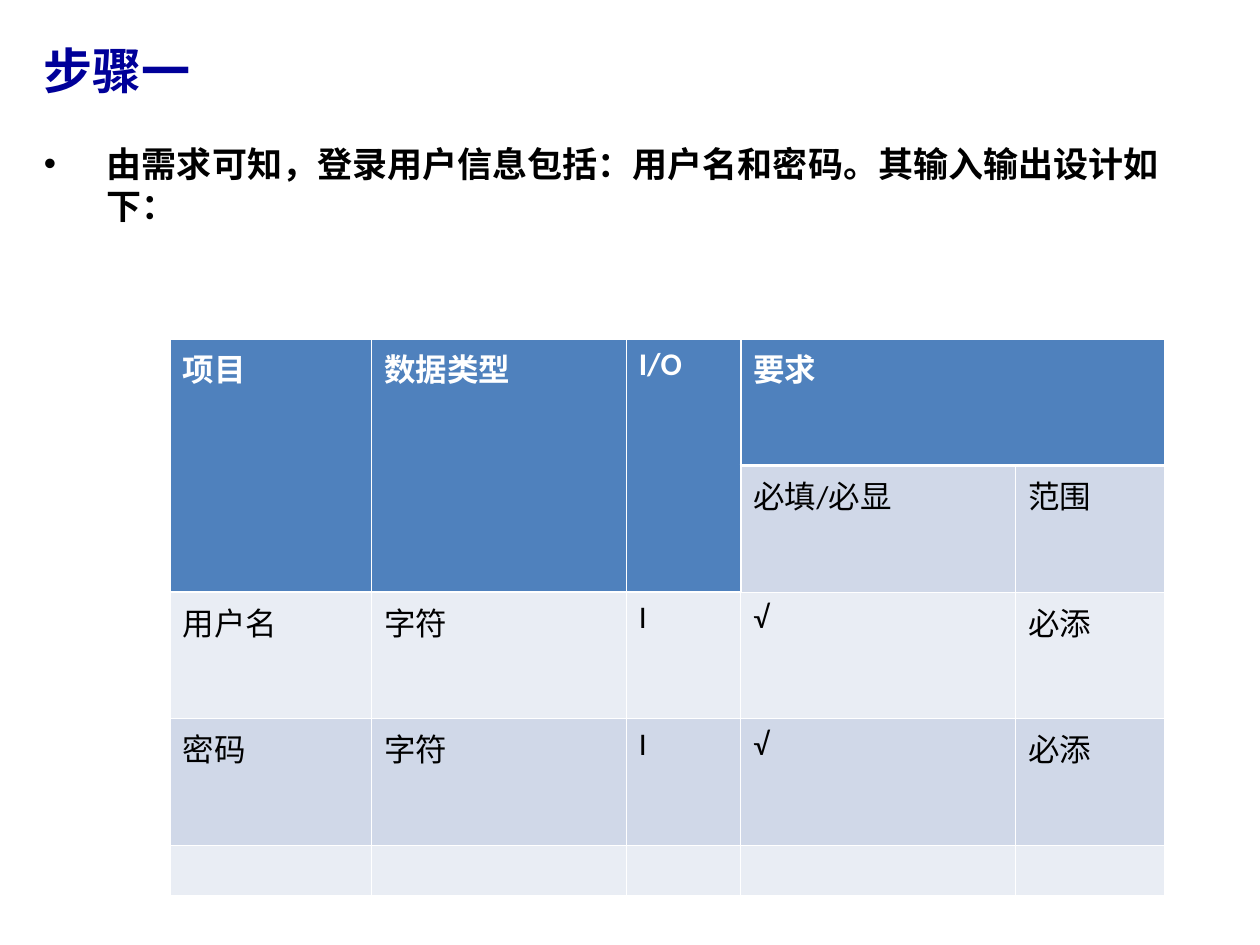
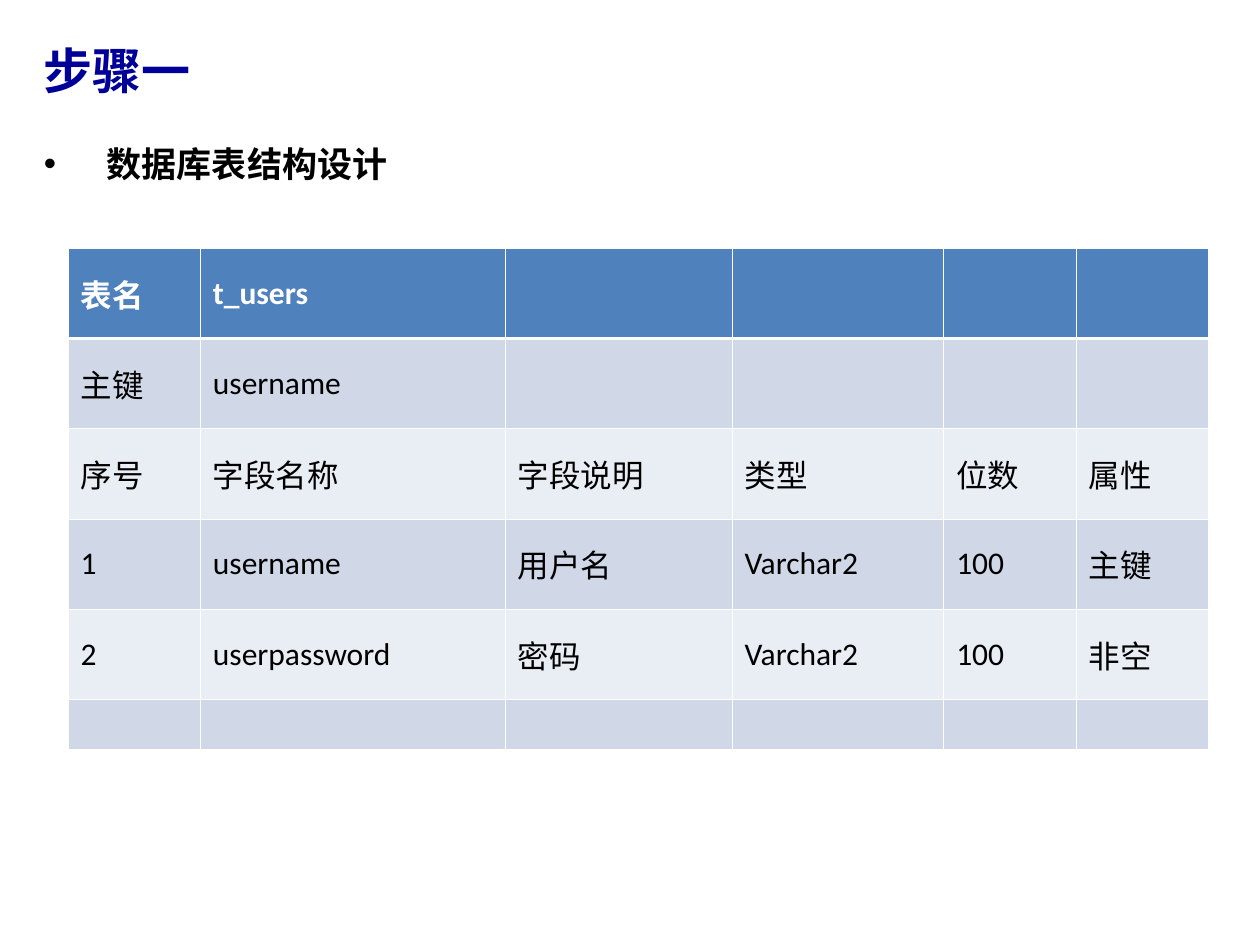
from dataclasses import dataclass
from lxml.etree import SubElement
from pptx import Presentation
from pptx.dml.color import RGBColor
from pptx.enum.text import MSO_ANCHOR
from pptx.oxml.ns import qn
from pptx.util import Inches, Pt


@dataclass(frozen=True)
class Theme:
    title_color: str = "000099"
    text_color: str = "000000"
    header_text_color: str = "FFFFFF"
    border_color: str = "FFFFFF"
    header_fill: str = "4F81BD"
    band_fills: tuple = ("E9EDF4", "D0D8E8")
    text_font: str = "Arial"
    table_font: str = "Calibri"
    title_size: int = 28
    body_size: int = 20
    table_size: int = 18
    thin_border: float = 0.45
    thick_border: float = 1.47


theme = Theme()
presentation = Presentation()
presentation.slide_width = Inches(10)
presentation.slide_height = Inches(7.5)
grid_column = presentation.slide_width / 100
grid_row = presentation.slide_height / 100


def place(left, top, width, height):
    return (round(left * grid_column), round(top * grid_row),
            round(width * grid_column), round(height * grid_row))


def write_text(frame, text, *, font, size, color, bold=False, bullet=False,
               anchor=MSO_ANCHOR.TOP):
    frame.word_wrap = True
    frame.vertical_anchor = anchor
    paragraph = frame.paragraphs[0]
    if bullet:
        properties = paragraph._p.get_or_add_pPr()
        properties.set("marL", str(Inches(0.5)))
        properties.set("indent", str(-Inches(0.5)))
        bullet_color = SubElement(properties, qn("a:buClr"))
        SubElement(bullet_color, qn("a:srgbClr"), val=color)
        SubElement(properties, qn("a:buFont"), typeface=font)
        SubElement(properties, qn("a:buChar"), char="•")
    run = paragraph.add_run()
    run.text = text
    run.font.name = font
    run.font.size = Pt(size)
    run.font.bold = bold
    run.font.color.rgb = RGBColor.from_string(color)


slides = [
    {
        "title": "步骤一",
        "body": "由需求可知，登录用户信息包括：用户名和密码。其输入输出设计如下：",
        "body_width": 92.9,
        "table_corner": (13.5, 35.87),
        "columns": [16, 20.2, 9.1, 21.8, 11.8],
        "rows": [13.4] * 4 + [5.33],
        "header_depths": [2, 2, 2, 1, 1],
        "merges": [(0, 0, 1, 0), (0, 1, 1, 1), (0, 2, 1, 2), (0, 3, 0, 4)],
        "anchor": MSO_ANCHOR.TOP,
        "texts": [
            ["项目", "数据类型", "I/O", "要求", ""],
            ["", "", "", "必填/必显", "范围"],
            ["用户名", "字符", "I", "√", "必添"],
            ["密码", "字符", "I", "√", "必添"],
            [""] * 5,
        ],
    },
    {
        "title": "步骤一",
        "body": "数据库表结构设计",
        "body_width": 47,
        "table_corner": (5.4, 26.27),
        "columns": [10.5, 24.2, 18, 16.8, 10.5, 10.5],
        "rows": [9.55] * 5 + [5.33],
        "header_depths": [1] * 6,
        "merges": [],
        "anchor": MSO_ANCHOR.MIDDLE,
        "texts": [
            ["表名", "t_users", "", "", "", ""],
            ["主键", "username", "", "", "", ""],
            ["序号", "字段名称", "字段说明", "类型", "位数", "属性"],
            ["1", "username", "用户名", "Varchar2", "100", "主键"],
            ["2", "userpassword", "密码", "Varchar2", "100", "非空"],
            [""] * 6,
        ],
    },
]

for content in slides:
    slide = presentation.slides.add_slide(presentation.slide_layouts[6])
    title = slide.shapes.add_textbox(*place(2.5, 2.93, 90, 8.93))
    write_text(title.text_frame, content["title"], font=theme.text_font,
               size=theme.title_size, color=theme.title_color, bold=True,
               anchor=MSO_ANCHOR.MIDDLE)
    body = slide.shapes.add_textbox(*place(2.5, 14.4, content["body_width"], 73.73))
    write_text(body.text_frame, content["body"], font=theme.text_font,
               size=theme.body_size, color=theme.text_color, bold=True, bullet=True)

    columns, rows = content["columns"], content["rows"]
    table = slide.shapes.add_table(
        len(rows), len(columns),
        *place(*content["table_corner"], sum(columns), sum(rows))).table
    table.first_row = False
    table.horz_banding = False
    for table_column, width in zip(table.columns, columns):
        table_column.width = round(width * grid_column)
    for table_row, height in zip(table.rows, rows):
        table_row.height = round(height * grid_row)
    for first_row, first_column, last_row, last_column in content["merges"]:
        table.cell(first_row, first_column).merge(table.cell(last_row, last_column))

    header_cells = {(row, column)
                    for column, depth in enumerate(content["header_depths"])
                    for row in range(depth)}
    for row, texts in enumerate(content["texts"]):
        for column, text in enumerate(texts):
            cell = table.cell(row, column)
            is_header = (row, column) in header_cells
            bottom = row + cell.span_height - 1
            right = column + cell.span_width - 1
            neighbors = {
                "a:lnL": (bottom, column - 1),
                "a:lnR": (bottom, right + 1),
                "a:lnT": (row - 1, column),
                "a:lnB": (bottom + 1, column),
            }
            for side, (near_row, near_column) in neighbors.items():
                inside = 0 <= near_row < len(rows) and 0 <= near_column < len(columns)
                changes = inside and ((near_row, near_column) in header_cells) != is_header
                weight = theme.thick_border if changes else theme.thin_border
                line = SubElement(cell._tc.get_or_add_tcPr(), qn(side), w=str(Pt(weight)))
                line_fill = SubElement(line, qn("a:solidFill"))
                SubElement(line_fill, qn("a:srgbClr"), val=theme.border_color)
            cell.fill.solid()
            cell.fill.fore_color.rgb = RGBColor.from_string(
                theme.header_fill if is_header else theme.band_fills[row % 2])
            cell.vertical_anchor = content["anchor"]
            if text:
                write_text(cell.text_frame, text, font=theme.table_font,
                           size=theme.table_size, bold=is_header,
                           color=theme.header_text_color if is_header else theme.text_color,
                           anchor=content["anchor"])

presentation.save("out.pptx")
